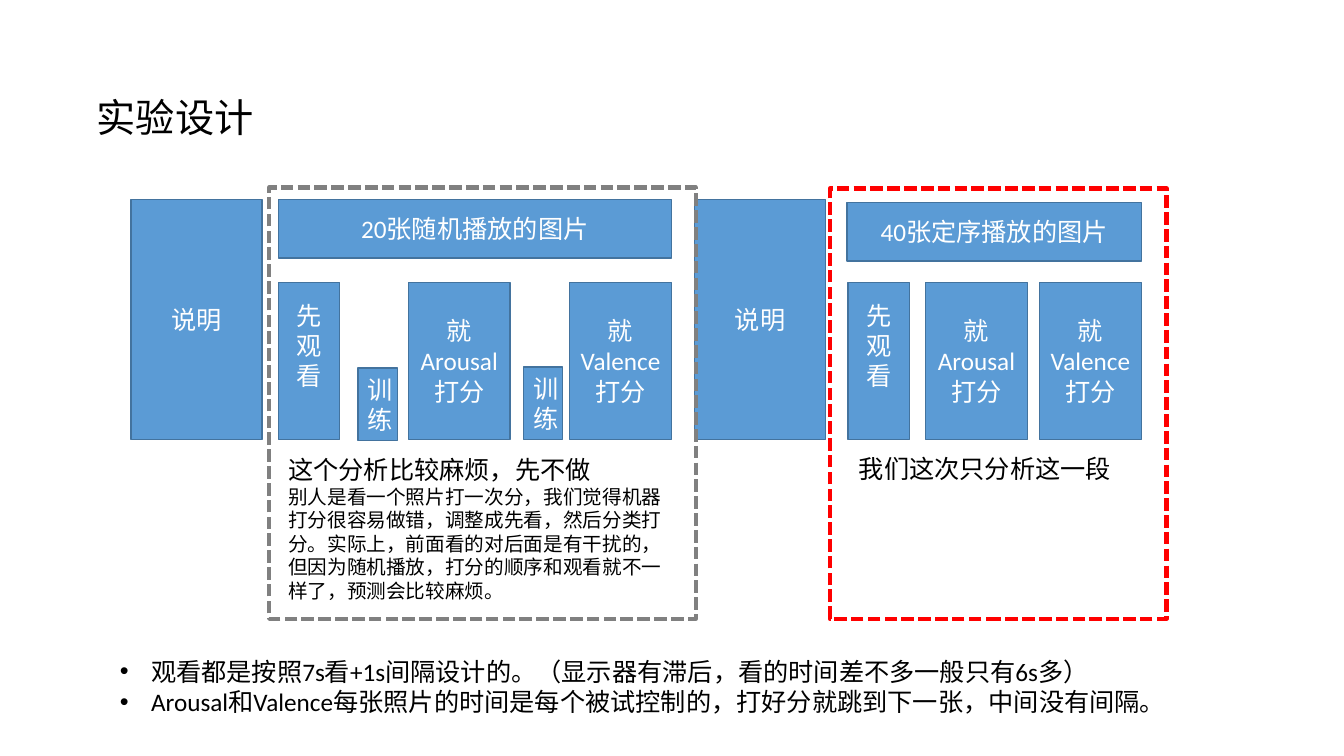
from pptx import Presentation
from pptx.dml.color import RGBColor
from pptx.enum.dml import MSO_LINE
from pptx.enum.shapes import MSO_SHAPE
from pptx.enum.text import MSO_ANCHOR, MSO_AUTO_SIZE, PP_ALIGN
from pptx.oxml.ns import qn
from pptx.util import Pt
from lxml import etree

PX = 9144  # 100 px to the inch
FONT = "Calibri"
BLUE = RGBColor(0x5B, 0x9B, 0xD5)
DARK_BLUE = RGBColor(0x43, 0x73, 0x9E)
WHITE = RGBColor(0xFF, 0xFF, 0xFF)
BLACK = RGBColor(0, 0, 0)
RED = RGBColor(0xFF, 0, 0)
GRAY = RGBColor(0x80, 0x80, 0x80)
RECTANGLE = MSO_SHAPE.RECTANGLE
DASH = MSO_LINE.SQUARE_DOT
LEFT, CENTER = PP_ALIGN.LEFT, PP_ALIGN.CENTER
TOP, MIDDLE = MSO_ANCHOR.TOP, MSO_ANCHOR.MIDDLE


def write(shape, lines, color, align=LEFT, anchor=TOP, wrap=True):
    frame = shape.text_frame
    frame.auto_size = MSO_AUTO_SIZE.NONE
    frame.word_wrap = wrap
    frame.vertical_anchor = anchor
    for index, (text, size) in enumerate(lines):
        paragraph = frame.add_paragraph() if index else frame.paragraphs[0]
        paragraph.alignment = align
        run = paragraph.add_run()
        run.text = text
        run.font.name = FONT
        run.font.size = Pt(size)
        run.font.color.rgb = color


def add_rectangle(box, line_color, line_width):
    shape = slide.shapes.add_shape(RECTANGLE, *[value * PX for value in box])
    shape.shadow.inherit = False
    shape.line.color.rgb = line_color
    shape.line.width = Pt(line_width)
    return shape


presentation = Presentation()
presentation.slide_width = 1333 * PX
presentation.slide_height = 750 * PX
slide = presentation.slides.add_slide(presentation.slide_layouts[5])

# Title
title = slide.shapes.title
title.left, title.top, title.width, title.height = [value * PX for value in (86, 88, 442, 57)]
write(title, [("实验设计", 28)], BLACK)

# Experiment steps
steps = [
    ("20张随机播放的图片", (276, 198, 390, 58)),
    ("40张定序播放的图片", (840, 201, 292, 58)),
    ("训练", (355, 365, 39, 72)),
    ("训练", (519, 364, 39, 72)),
]
for left in (130, 689):
    steps.append(("说明", (left, 198, 130, 238)))
for watch_left, arousal_left, valence_left in ((276, 405, 565), (841, 918, 1031)):
    steps.append(("先观看", (watch_left, 280, 61, 156)))
    steps.append(("就Arousal打分", (arousal_left, 280, 101, 156)))
    steps.append(("就Valence打分", (valence_left, 280, 101, 156)))

for text, box in steps:
    step = add_rectangle(box, DARK_BLUE, 1)
    step.fill.solid()
    step.fill.fore_color.rgb = BLUE
    write(step, [(text, 18)], WHITE, CENTER, MIDDLE)
    if text == "先观看":
        step.text_frame.margin_bottom = 35 * PX  # text sits above the middle

# Dashed frames around the two phases
for box, color in (((823, 187, 334, 427), RED), ((267, 186, 423, 428), GRAY)):
    frame_box = add_rectangle(box, color, 3)
    frame_box.fill.background()
    frame_box.line.dash_style = DASH

# Phase remarks and timing notes
remarks = [
    ((842, 445, 273, 40), False, [("我们这次只分析这一段", 18)]),
    ((276, 446, 401, 158), True, [
        ("这个分析比较麻烦，先不做", 18),
        ("别人是看一个照片打一次分，我们觉得机器打分很容易做错，调整成先看，然后分类打分。"
         "实际上，前面看的对后面是有干扰的，但因为随机播放，打分的顺序和观看就不一样了，"
         "预测会比较麻烦。", 14),
    ]),
    ((109, 646, 1048, 101), True, [
        ("观看都是按照7s看+1s间隔设计的。（显示器有滞后，看的时间差不多一般只有6s多）", 18),
        ("Arousal和Valence每张照片的时间是每个被试控制的，打好分就跳到下一张，中间没有间隔。", 18),
    ]),
]
for box, wrap, lines in remarks:
    remark = slide.shapes.add_textbox(*[value * PX for value in box])
    write(remark, lines, BLACK, wrap=wrap)

# Bullets on the timing notes, the last remark
for paragraph in remark.text_frame.paragraphs:
    properties = paragraph._p.get_or_add_pPr()
    properties.set("marL", str(31 * PX))
    properties.set("indent", str(-31 * PX))
    etree.SubElement(properties, qn("a:buFont")).set("typeface", "Arial")
    etree.SubElement(properties, qn("a:buChar")).set("char", "•")

presentation.save("out.pptx")
